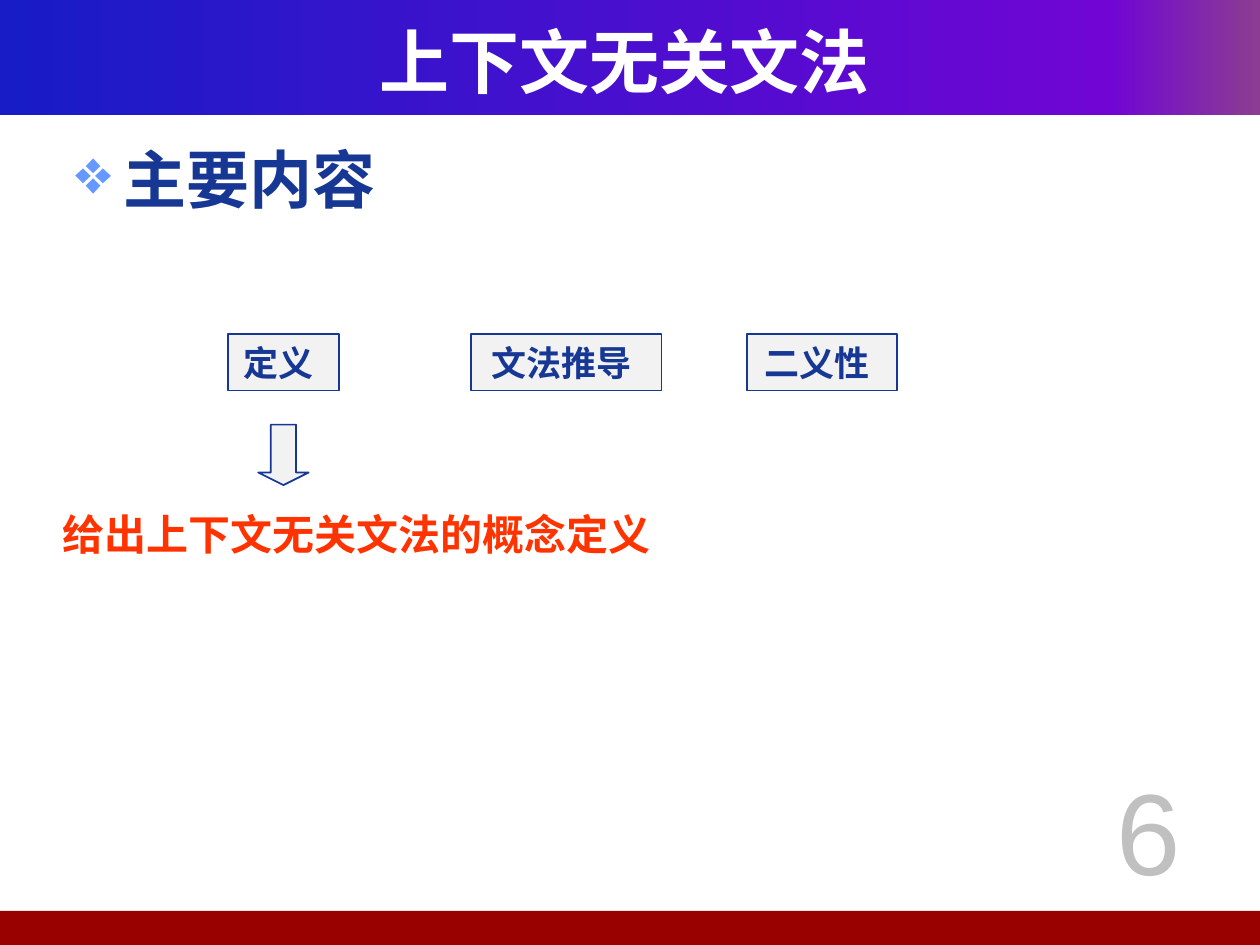
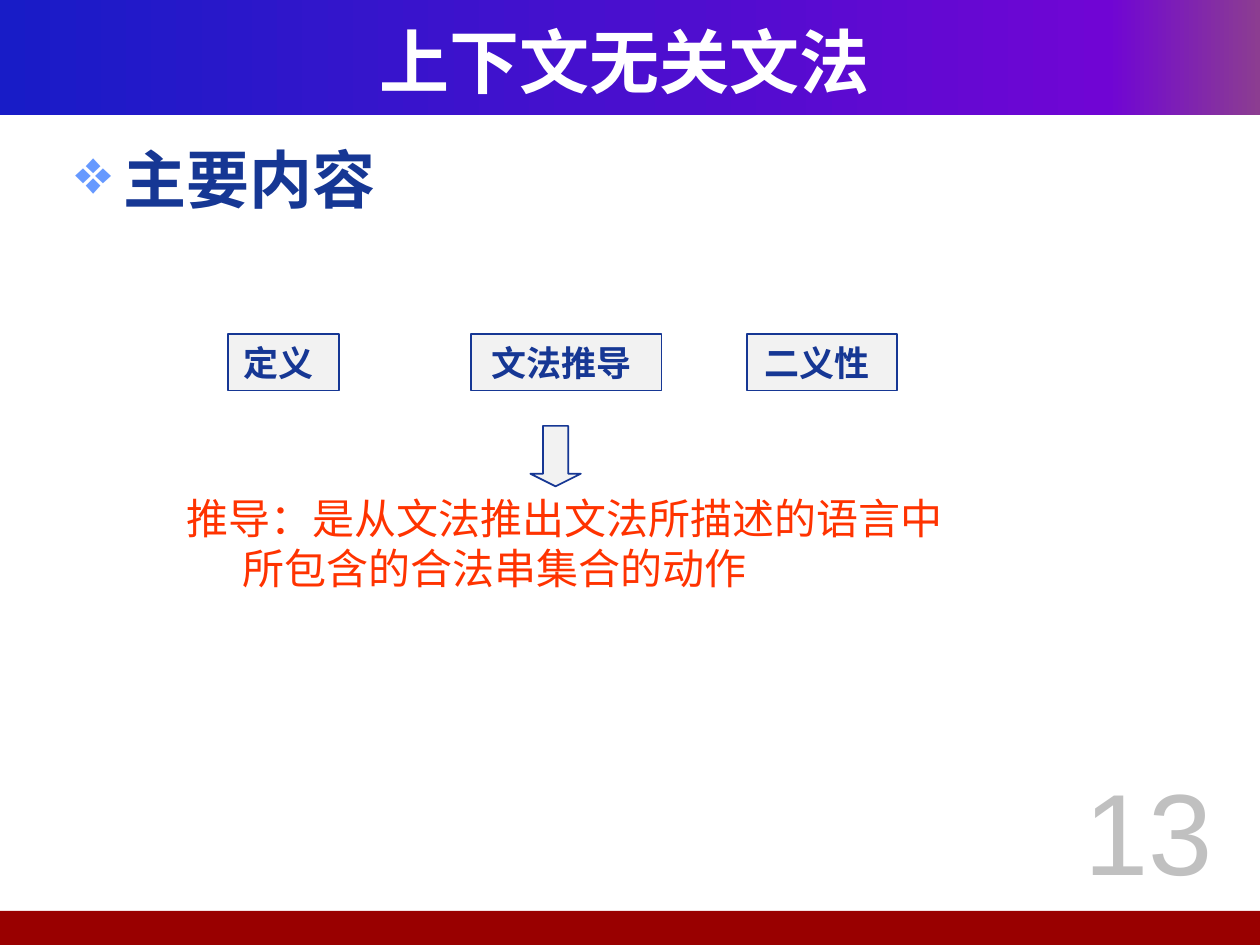
from copy import deepcopy
from pptx import Presentation, util as u
from pptx.dml.color import RGBColor
from pptx.enum import shapes, text
from pptx.oxml import ns, xmlchemy as xml

WHITE = RGBColor(0xFF, 0xFF, 0xFF)
NAVY = RGBColor(0x16, 0x37, 0x94)
PALE = RGBColor(0xF2, 0xF2, 0xF2)
GREY = RGBColor(0xC0, 0xC0, 0xC0)
RED = RGBColor(0xFF, 0x33, 0x00)
MAROON = RGBColor(0x99, 0x00, 0x00)
BLEND = [
    (0, RGBColor(0x18, 0x1C, 0xC7)),
    (0.88, RGBColor(0x70, 0x05, 0xD4)),
    (1, RGBColor(0x8C, 0x3D, 0x91)),
]
MONO, SANS, OPEN = "Noto Sans Mono", "Noto Sans CJK SC", "Open Sans"
KIND = shapes.MSO_SHAPE
LEFT, MID = text.PP_ALIGN.LEFT, text.PP_ALIGN.CENTER

deck = Presentation()
deck.slide_width, deck.slide_height = u.Inches(10), u.Inches(7.5)
# The grid has 100 columns and 75 rows of equal size.
col, row = deck.slide_width / 100, deck.slide_height / 75


def grid(*spot):
    """Turn left, top, width and height in grid units into lengths."""
    return [u.Emu(round(n * step)) for n, step in zip(spot, (col, row) * 2)]


def write(shape, lines, size, face, color, bold=True, align=LEFT, lead=1.2):
    """Fill a shape with paragraphs of one style."""
    frame = shape.text_frame
    frame.word_wrap = True
    frame.auto_size = text.MSO_AUTO_SIZE.NONE
    frame.text = "\n".join(lines)
    for par in frame.paragraphs:
        par.alignment = align
        par.line_spacing = u.Pt(size * lead)
        font = par.font
        font.size, font.name, font.bold = u.Pt(size), face, bold
        font.color.rgb = color
        props = par._p.pPr.find(ns.qn("a:defRPr"))
        east = xml.OxmlElement("a:ea")
        east.set("typeface", face)
        props.find(ns.qn("a:latin")).addnext(east)
    return frame


# Page number, arrow place, note place, note lines, face, bold
PAGES = [
    ("6", (20.5, 33.7), (4, 39.9, 49.9, 5),
     ["给出上下文无关文法的概念定义"], OPEN, True),
    ("13", (42.1, 33.8), (13.8, 38.6, 63.8, 9.1),
     ["推导：是从文法推出文法所描述的语言中", "所包含的合法串集合的动作"], SANS, False),
]
TOPICS = [("定义", 18.1, 8.8), ("文法推导", 37.4, 15.1), ("二义性", 59.3, 11.9)]

for number, tip, spot, lines, face, bold in PAGES:
    slide = deck.slides.add_slide(deck.slide_layouts[5])
    items = slide.shapes

    # Bands
    band = items.add_shape(KIND.RECTANGLE, *grid(0, 0, 100, 9.1))
    band.fill.gradient()
    band.fill.gradient_angle = 0
    stops = band._element.spPr.find(".//" + ns.qn("a:gsLst"))
    stops.append(deepcopy(stops[0]))
    for stop, (share, color) in zip(band.fill.gradient_stops, BLEND):
        stop.position, stop.color.rgb = share, color
    foot = items.add_shape(KIND.RECTANGLE, *grid(0, 72.3, 100, 2.7))
    foot.fill.solid()
    foot.fill.fore_color.rgb = MAROON
    for strip in (band, foot):
        strip.line.fill.background()
        strip.shadow.inherit = False

    # Title, raised above the band
    title = items.title
    title.left, title.top, title.width, title.height = grid(3.3, 1.7, 92.5, 6.2)
    write(title, ["上下文无关文法"], 40, MONO, WHITE, align=MID)
    title.text_frame.vertical_anchor = text.MSO_ANCHOR.MIDDLE
    band._element.addnext(title._element)

    # Heading with a diamond bullet
    head = items.add_textbox(*grid(5, 10.7, 90, 57.4))
    par = write(head, ["主要内容"], 36, MONO, NAVY).paragraphs[0]
    par.space_before = u.Pt(7.2)
    props = par._p.pPr
    props.set("marL", str(u.Inches(0.38)))
    props.set("indent", str(-u.Inches(0.38)))
    tint = xml.OxmlElement("a:buClr")
    shade = xml.OxmlElement("a:srgbClr")
    shade.set("val", "6699FF")
    tint.append(shade)
    mark = xml.OxmlElement("a:buChar")
    mark.set("char", "❖")
    props.find(ns.qn("a:defRPr")).addprevious(tint)
    tint.addnext(mark)

    # Page number and note
    page = items.add_textbox(*grid(82.3, 60.3, 17.7, 14.2))
    write(page, [number], 66, "Arial", GREY, False, MID, 1.15)
    note = items.add_textbox(*grid(*spot))
    for par in write(note, lines, 24, face, RED, bold).paragraphs[1:]:
        par._p.pPr.set("marL", str(u.Inches(0.45)))

    # Topic boxes and the arrow under the current one
    parts = []
    for topic, left, width in TOPICS:
        box = items.add_shape(KIND.RECTANGLE, *grid(left, 26.5, width, 4.5))
        frame = write(box, [topic], 20, SANS, NAVY, align=MID)
        frame.vertical_anchor = text.MSO_ANCHOR.MIDDLE
        frame.margin_right = u.Inches(0.18)
        parts.append(box)
    arrow = items.add_shape(KIND.DOWN_ARROW, *grid(*tip, 4, 4.8))
    arrow.adjustments[1] = 0.25
    for part in parts + [arrow]:
        part.fill.solid()
        part.fill.fore_color.rgb = PALE
        part.line.color.rgb = NAVY
        part.line.width = u.Pt(1)
        part.shadow.inherit = False

deck.save("out.pptx")
